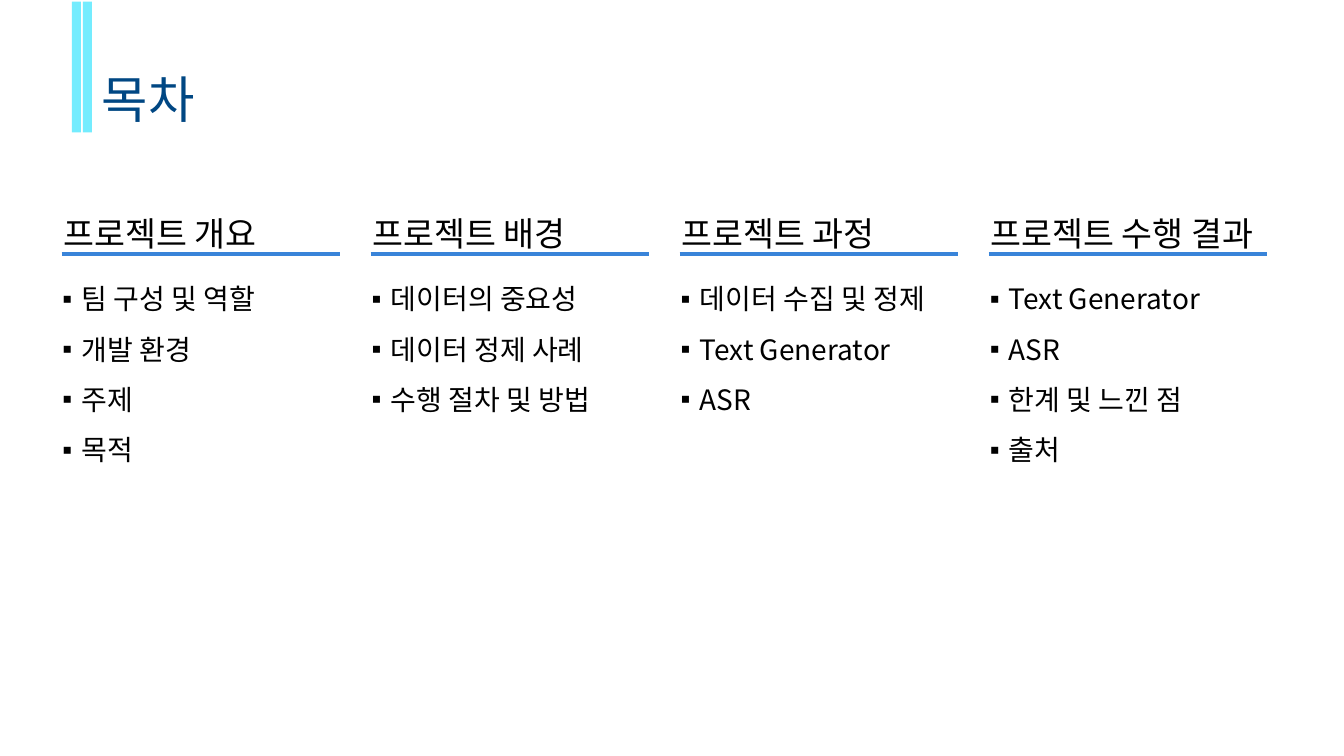
import pptx
import pptx.dml.color
import pptx.enum.shapes
import pptx.enum.text
import pptx.oxml
import pptx.oxml.ns
import pptx.util
from pptx.util import Cm

FONT = "Noto Sans CJK KR"
COLORS = {"title": "004783", "bar": "74ECFE", "rule": "3984D9", "text": "000000"}
FRAME = {"word_wrap": True, "auto_size": pptx.enum.text.MSO_AUTO_SIZE.NONE}
PARAGRAPH = {"alignment": pptx.enum.text.PP_ALIGN.LEFT,
             "space_before": pptx.util.Pt(0)}
COLUMN_STEP = 7.79
SECTIONS = [
    ("프로젝트 개요", ["팀 구성 및 역할", "개발 환경", "주제", "목적"]),
    ("프로젝트 배경", ["데이터의 중요성", "데이터 정제 사례", "수행 절차 및 방법"]),
    ("프로젝트 과정", ["데이터 수집 및 정제", "Text Generator", "ASR"]),
    ("프로젝트 수행 결과", ["Text Generator", "ASR", "한계 및 느낀 점", "출처"]),
]


def rgb(name):
    return pptx.dml.color.RGBColor.from_string(COLORS[name])


def set_all(obj, values):
    for name, value in values.items():
        setattr(obj, name, value)


def place(sp, left, top, width, height):
    set_all(sp, {"left": Cm(left), "top": Cm(top),
                 "width": Cm(width), "height": Cm(height)})


def write(sp, lines, size, color, anchor, line_spacing=1.0):
    tf = sp.text_frame
    set_all(tf, FRAME | {"vertical_anchor": anchor})
    for i, line in enumerate(lines):
        p = tf.add_paragraph() if i else tf.paragraphs[0]
        set_all(p, PARAGRAPH | {"line_spacing": line_spacing})
        r = p.add_run()
        r.text = line
        set_all(r.font, {"name": FONT, "size": pptx.util.Pt(size), "bold": False})
        r.font.color.rgb = rgb(color)
        ea = pptx.oxml.parse_xml(
            f'<a:ea {pptx.oxml.ns.nsdecls("a")} typeface="{FONT}"/>')
        r.font._element.find(pptx.oxml.ns.qn("a:latin")).addnext(ea)


def add_bullets(tf):
    for p in tf.paragraphs:
        ppr = p._p.get_or_add_pPr()
        ppr.set("marL", str(Cm(0.48)))
        ppr.set("indent", str(-Cm(0.48)))
        ppr.append(pptx.oxml.parse_xml(
            f'<a:buChar {pptx.oxml.ns.nsdecls("a")} char="▪"/>'))


def add_bar(s, left):
    sp = s.shapes.add_shape(pptx.enum.shapes.MSO_SHAPE.RECTANGLE,
                            Cm(left), Cm(0.04), Cm(0.23), Cm(3.3))
    sp.shadow.inherit = False
    sp.fill.solid()
    sp.fill.fore_color.rgb = rgb("bar")
    sp.line.fill.background()


def add_rule(s, left):
    line = s.shapes.add_connector(pptx.enum.shapes.MSO_CONNECTOR.STRAIGHT,
                                  Cm(left), Cm(6.4), Cm(left + 7.01), Cm(6.4))
    line.line.color.rgb = rgb("rule")
    line.line.width = pptx.util.Pt(2.25)
    line._element.spPr.append(pptx.oxml.parse_xml(
        f'<a:effectLst {pptx.oxml.ns.nsdecls("a")}/>'))


def add_section(s, body, left, heading, items):
    sp = s.shapes.add_textbox(Cm(left), Cm(5.23), Cm(7.5), Cm(1.28))
    write(sp, [heading], 24, "text", pptx.enum.text.MSO_ANCHOR.MIDDLE)
    add_rule(s, left + 0.2)
    place(body, left - 0.03, 6.55, 8.3, 0.3 + 1.27 * len(items))
    write(body, items, 20, "text", pptx.enum.text.MSO_ANCHOR.TOP, 1.5)
    add_bullets(body.text_frame)


def main():
    prs = pptx.Presentation()
    set_all(prs, {"slide_width": Cm(33.87), "slide_height": Cm(19.05)})
    s = prs.slides.add_slide(prs.slide_layouts.get_by_name("Comparison"))
    title, *bodies = s.placeholders
    place(title, 2.31, 1.57, 19.81, 1.8)
    write(title, ["목차"], 36, "title", pptx.enum.text.MSO_ANCHOR.MIDDLE)
    for left in (1.81, 2.09):
        add_bar(s, left)
    for i, (body, (heading, items)) in enumerate(zip(bodies, SECTIONS)):
        add_section(s, body, 1.35 + i * COLUMN_STEP, heading, items)
    prs.save("out.pptx")


if __name__ == "__main__":
    main()
